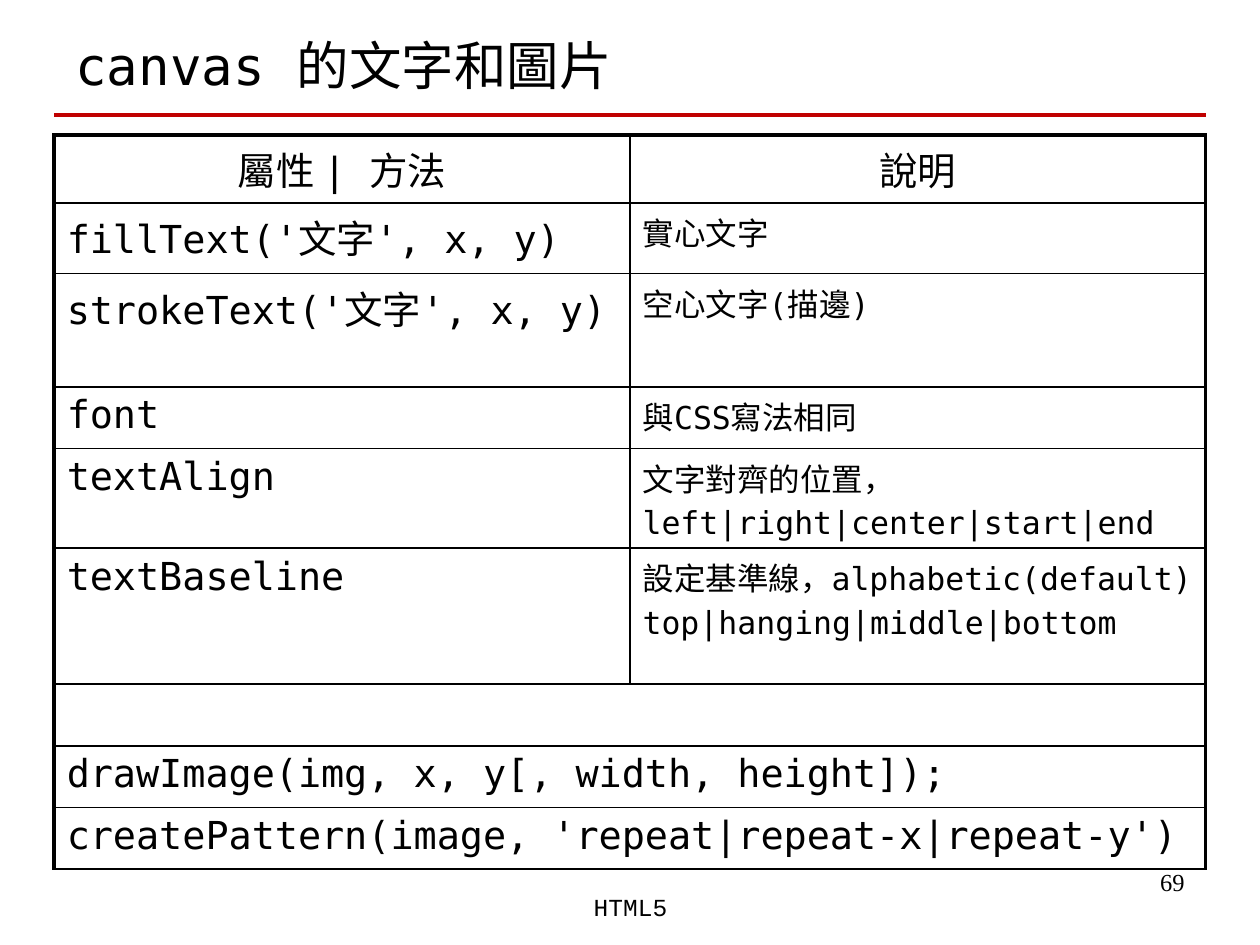
from lxml.etree import SubElement
from pptx import Presentation
from pptx.dml.color import RGBColor
from pptx.enum.shapes import MSO_CONNECTOR as Connector
from pptx.enum.text import MSO_ANCHOR as Anchor, PP_ALIGN as Align
from pptx.oxml.ns import qn
from pptx.util import Inches, Pt

COLORS = {"text": "000000", "border": "000000", "rule": "C00000"}
MONO = "DejaVu Sans Mono"
THIN, THICK = 1, 2.25
HEADER_SIZE, NOTE_SIZE = 22, 18
ROWS = [
    (0.54, "屬性 | 方法", ["說明"]),
    (0.56, "fillText('文字', x, y)", ["實心文字"]),
    (0.9, "strokeText('文字', x, y)", ["空心文字(描邊)"]),
    (0.49, "font", ["與CSS寫法相同"]),
    (0.79, "textAlign", ["文字對齊的位置，", "left|right|center|start|end"]),
    (1.08, "textBaseline", ["設定基準線，alphabetic(default)", "top|hanging|middle|bottom"]),
    (0.49, "", None),
    (0.49, "drawImage(img, x, y[, width, height]);", None),
    (0.49, "createPattern(image, 'repeat|repeat-x|repeat-y')", None),
]


class SlideBuilder:
    """Draws styled text, rules and bordered tables on one slide."""

    def __init__(self, slide):
        self.slide = slide

    def add_lines(self, frame, lines, size, font=MONO, align=Align.LEFT):
        frame.word_wrap = True
        for index, line in enumerate(lines):
            paragraph = frame.add_paragraph() if index else frame.paragraphs[0]
            paragraph.alignment = align
            paragraph.space_before = Pt(3 if index else 0)
            paragraph.font.size = Pt(size)
            if line:
                run = paragraph.add_run()
                run.text = line
                run.font.name = font
                run.font.size = Pt(size)
                run.font.color.rgb = RGBColor.from_string(COLORS["text"])

    def text(self, box, line, size, font, align, anchor=Anchor.TOP):
        shape = self.slide.shapes.add_textbox(*map(Inches, box))
        shape.text_frame.vertical_anchor = anchor
        self.add_lines(shape.text_frame, [line], size, font, align)

    def rule(self, left, right, top):
        connector = self.slide.shapes.add_connector(
            Connector.STRAIGHT, Inches(left), Inches(top), Inches(right), Inches(top))
        connector.line.color.rgb = RGBColor.from_string(COLORS["rule"])
        connector.line.width = Pt(THICK)
        SubElement(connector._element.spPr, qn("a:effectLst"))

    def border(self, cell, widths):
        properties = cell._tc.get_or_add_tcPr()
        for side, width in widths.items():
            line = SubElement(properties, qn(f"a:ln{side}"), w=str(Pt(width)))
            fill = SubElement(line, qn("a:solidFill"))
            SubElement(fill, qn("a:srgbClr"), val=COLORS["border"])

    def table(self, left, top, column_width, rows):
        height = sum(row[0] for row in rows)
        table = self.slide.shapes.add_table(
            len(rows), 2, Inches(left), Inches(top),
            Inches(2 * column_width), Inches(height)).table
        table.first_row = table.horz_banding = False
        for column in table.columns:
            column.width = Inches(column_width)
        for index, (row_height, name, notes) in enumerate(rows):
            table.rows[index].height = Inches(row_height)
            first, second = table.cell(index, 0), table.cell(index, 1)
            merged = notes is None
            if merged:
                first.merge(second)
            edge = THICK if index == 0 else THIN
            inner = THICK if merged else THIN
            self.border(first, {"L": THICK, "R": inner, "T": edge, "B": THIN})
            inner_side = {} if merged else {"L": THIN}
            self.border(second, {**inner_side, "R": THICK, "T": edge, "B": THIN})
            first.fill.background()
            second.fill.background()
            align = Align.LEFT if index else Align.CENTER
            self.add_lines(first.text_frame, [name], HEADER_SIZE, align=align)
            if not merged:
                size = NOTE_SIZE if index else HEADER_SIZE
                self.add_lines(second.text_frame, notes, size, align=align)


def main():
    presentation = Presentation()
    presentation.slide_width, presentation.slide_height = Inches(10), Inches(7.5)
    builder = SlideBuilder(presentation.slides.add_slide(presentation.slide_layouts[6]))
    builder.text((7.17, 6.83, 2.33, 0.52), "69", 14, "Times New Roman", Align.RIGHT)
    builder.text((0.5, 0.13, 9, 0.76), "canvas 的文字和圖片", 30, MONO, Align.LEFT, Anchor.MIDDLE)
    builder.rule(0.43, 9.57, 0.91)
    builder.text((3.42, 7.03, 3.17, 0.5), "HTML5", 14, "Courier New", Align.CENTER)
    builder.table(0.43, 1.07, 4.57, ROWS)
    presentation.save("out.pptx")


if __name__ == "__main__":
    main()
